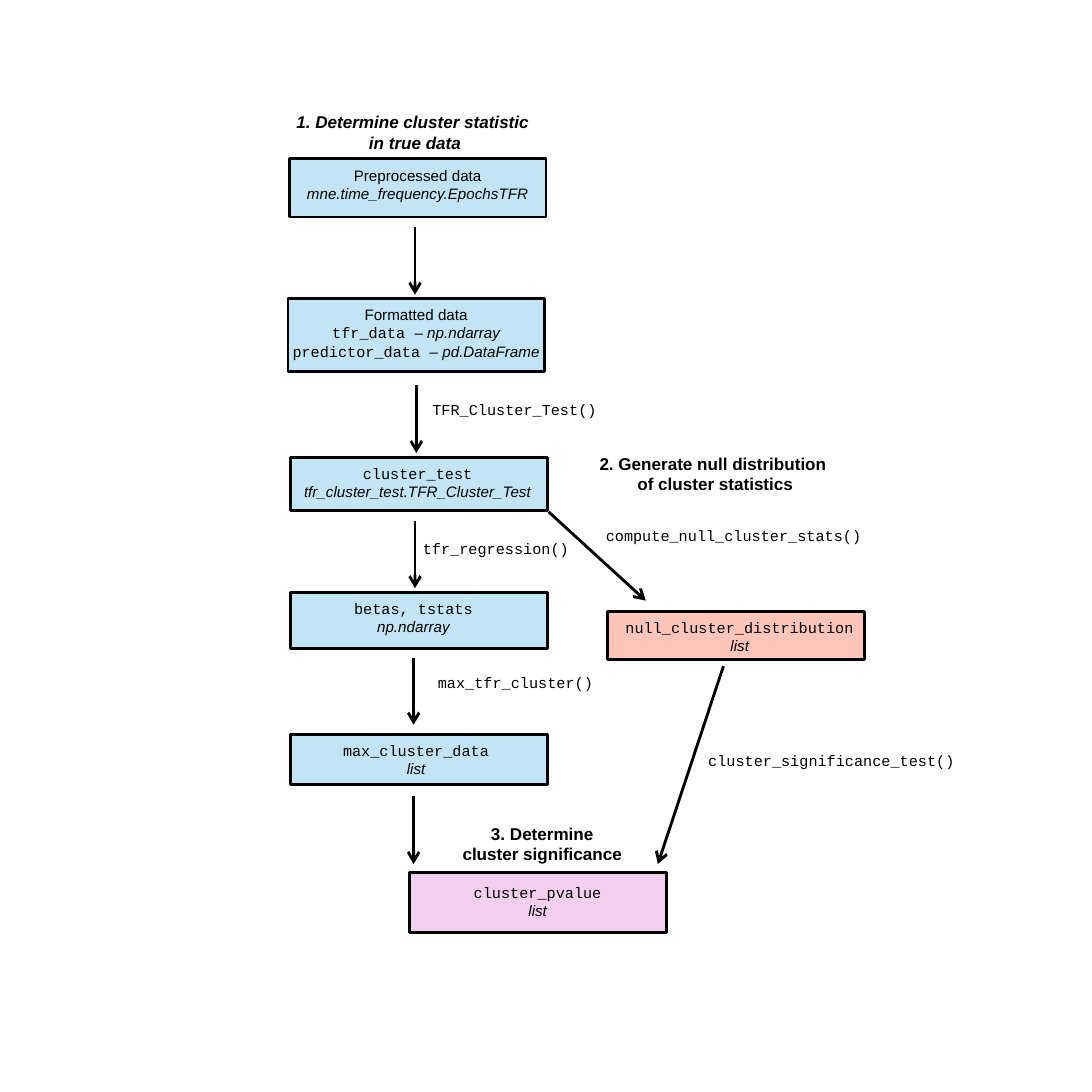
from lxml import etree
from pptx import Presentation
from pptx.dml.color import RGBColor
from pptx.enum import shapes, text
from pptx.oxml import ns
from pptx.util import Pt

COLORS = {"ink": "000000", "blue": "C1E5F5", "red": "FF2600", "pink": "F2CFEE"}
STYLES = {
    "plain": {"name": "Arial", "size": Pt(8)},
    "type": {"name": "Arial", "size": Pt(8), "italic": True},
    "code": {"name": "Courier New", "size": Pt(8)},
    "heading": {"name": "Arial", "size": Pt(9), "bold": True},
    "slanted": {"name": "Arial", "size": Pt(9), "bold": True, "italic": True},
}
BOX_WIDTH = 135.4
TEXT_WIDTH = 184.3

prs = Presentation()
prs.slide_width = prs.slide_height = Pt(576)
s = prs.slides.add_slide(prs.slide_layouts[6])


def rgb(key):
    return RGBColor.from_string(COLORS[key])


def add_text(left, top, height, lines, align):
    """Add a text box; each line is a list of (text, style) runs."""
    tf = s.shapes.add_textbox(Pt(left), Pt(top), Pt(TEXT_WIDTH), Pt(height)).text_frame
    tf.word_wrap = True
    for i, runs in enumerate(lines):
        p = tf.add_paragraph() if i else tf.paragraphs[0]
        p.alignment = align
        for words, style in runs:
            r = p.add_run()
            r.text = words
            r.font.color.rgb = rgb("ink")
            for attribute, value in STYLES[style].items():
                setattr(r.font, attribute, value)


# Data boxes: left, top, height, fill, text left, text top, lines
nodes = [
    (152.6, 83.5, 31, "blue", 128.2, 84.2,
     [[("Preprocessed data", "plain")], [("mne.time_frequency.EpochsTFR", "type")]]),
    (151.9, 157.7, 38.2, "blue", 127.4, 157.7,
     [[("Formatted data", "plain")],
      [("tfr_data ", "code"), ("– np.ndarray", "type")],
      [("predictor_data ", "code"), ("– pd.DataFrame", "type")]]),
    (153.4, 241.2, 28.1, "blue", 128.2, 241.2,
     [[("cluster_test", "code")], [("tfr_cluster_test.TFR_Cluster_Test", "type")]]),
    (153.4, 312.5, 29.5, "blue", 126, 312.5,
     [[("betas, tstats", "code")], [("np.ndarray", "type")]]),
    (153.4, 387.4, 26.6, "blue", 127.4, 387.4,
     [[("max_cluster_data", "code")], [("list", "type")]]),
    (320.4, 322.6, 25.2, "red", 298.1, 322.6,
     [[("null_cluster_distribution", "code")], [("list", "type")]]),
    (216, 460.1, 31.7, "pink", 191.5, 462.2,
     [[("cluster_pvalue", "code")], [("list", "type")]]),
]
for left, top, height, fill, text_left, text_top, lines in nodes:
    sp = s.shapes.add_shape(shapes.MSO_SHAPE.RECTANGLE,
                            Pt(left), Pt(top), Pt(BOX_WIDTH), Pt(height))
    sp.shadow.inherit = False
    sp.fill.solid()
    sp.fill.fore_color.rgb = rgb(fill)
    sp.line.color.rgb = rgb("ink")
    sp.line.width = Pt(1.5)
    if fill == "red":
        color = sp.fill._xPr.find(ns.qn("a:solidFill"))[0]
        etree.SubElement(color, ns.qn("a:alpha"), val="27000")
    add_text(text_left, text_top, 37.4, lines, text.PP_ALIGN.CENTER)

# Arrows: start x, start y, end x, end y
arrows = [
    (218.9, 119.5, 218.9, 155.5),
    (219.6, 203, 219.6, 239),
    (218.9, 275, 218.9, 310.3),
    (218.2, 347, 218.2, 382.3),
    (218.2, 419.8, 218.2, 455.8),
    (289.4, 270, 340.6, 316.8),
    (381.6, 351.4, 347, 455.8),
]
for ends in arrows:
    arrow = s.shapes.add_connector(shapes.MSO_CONNECTOR.STRAIGHT, *map(Pt, ends))
    arrow.line.color.rgb = rgb("ink")
    arrow.line.width = Pt(1.5)
    etree.SubElement(arrow.line._get_or_add_ln(), ns.qn("a:tailEnd"), type="arrow")
    etree.SubElement(arrow._element.spPr, ns.qn("a:effectLst"))

# Function calls beside the arrows
calls = [
    (221, 207.6, "TFR_Cluster_Test()"),
    (216, 281.1, "tfr_regression()"),
    (223.9, 351.6, "max_tfr_cluster()"),
    (312.5, 273.9, "compute_null_cluster_stats()"),
    (366.5, 392.7, "cluster_significance_test()"),
]
for left, top, call in calls:
    add_text(left, top, 20, [[(call, "code")]], text.PP_ALIGN.LEFT)

headings = [
    (126.7, 55.4, "slanted", ["1. Determine cluster statistic ", "in true data"]),
    (285.1, 235.4, "heading", ["2. Generate null distribution ", "of cluster statistics"]),
    (195.1, 430.6, "heading", ["3. Determine ", "cluster significance "]),
]
for left, top, style, lines in headings:
    add_text(left, top, 28, [[(line, style)] for line in lines], text.PP_ALIGN.CENTER)

prs.save("out.pptx")
